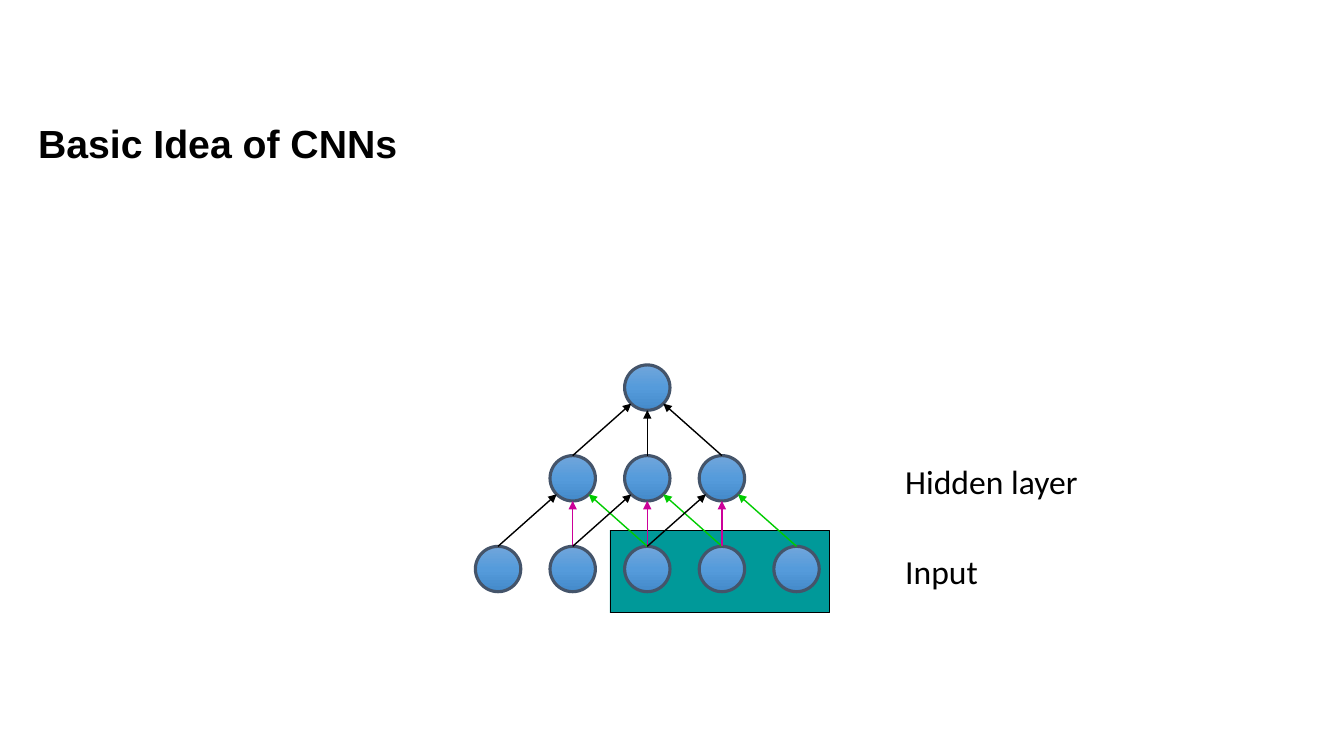
from copy import deepcopy
from math import cos, pi, sin

from lxml.etree import SubElement
from pptx import Presentation
from pptx.dml.color import RGBColor
from pptx.enum.shapes import MSO_CONNECTOR as CONN, MSO_SHAPE as SHAPE
from pptx.enum.text import MSO_ANCHOR as ANCHOR
from pptx.oxml.ns import qn
from pptx.util import Inches, Pt

BLACK = RGBColor(0x00, 0x00, 0x00)
TEAL = RGBColor(0x00, 0x99, 0x99)
MAGENTA = RGBColor(0xCC, 0x00, 0x99)
GREEN = RGBColor(0x00, 0xCC, 0x00)
SLATE = RGBColor(0x44, 0x54, 0x6A)
BLUES = [RGBColor(0x71, 0xA6, 0xDB), RGBColor(0x55, 0x9B, 0xDB),
         RGBColor(0x44, 0x8A, 0xCA)]

# Grid of the network: columns count from the middle, rows from the input up
MID_X, COL = 6.42, 0.74
INPUT_TOP, ROW = 5.42, 0.9
SIZE = 0.45

prs = Presentation()
prs.slide_width, prs.slide_height = Inches(13.33), Inches(7.5)
s = prs.slides.add_slide(prs.slide_layouts[6])


def add_neuron(shapes, col, row):
    x, y = MID_X + col * COL - SIZE / 2, INPUT_TOP - row * ROW
    sp = shapes.add_shape(SHAPE.OVAL, Inches(x), Inches(y), Inches(SIZE), Inches(SIZE))
    sp.shadow.inherit = False
    sp.line.color.rgb, sp.line.width = SLATE, Pt(2.25)
    sp.fill.gradient()
    sp.fill.gradient_angle = 270
    first = sp._element.spPr.find(".//" + qn("a:gs"))
    first.addnext(deepcopy(first))
    for i, (stop, blue) in enumerate(zip(sp.fill.gradient_stops, BLUES)):
        stop.color.rgb, stop.position = blue, i / 2


def add_inputs(shapes, col, row, colors):
    """Draw a neuron and the arrows from the three neurons below it."""
    add_neuron(shapes, col, row)
    cx, top = MID_X + col * COL, INPUT_TOP - row * ROW
    for side, color in zip((-1, 0, 1), colors):
        turn = side * pi / 4
        end_x = cx + SIZE / 2 * sin(turn)
        end_y = top + SIZE / 2 * (1 + cos(turn))
        c = shapes.add_connector(CONN.STRAIGHT, Inches(cx + side * COL), Inches(top + ROW),
                                 Inches(end_x), Inches(end_y))
        c.line.color.rgb, c.line.width = color, Pt(1)
        spPr = c._element.spPr
        SubElement(spPr.find(qn("a:ln")), qn("a:tailEnd"), type="triangle")
        SubElement(spPr, qn("a:effectLst"))


# Window over the last three inputs
window = s.shapes.add_shape(SHAPE.RECTANGLE, Inches(6.05), Inches(5.26),
                            Inches(2.18), Inches(0.82))
window.shadow.inherit = False
window.fill.solid()
window.fill.fore_color.rgb = TEAL
window.line.color.rgb, window.line.width = BLACK, Pt(0.5)

# Input layer
for col in range(-2, 3):
    add_neuron(s.shapes, col, 0)

# Hidden layer, each neuron grouped with its shared weights
for col in range(-1, 2):
    add_inputs(s.shapes.add_group_shape().shapes, col, 1, (BLACK, MAGENTA, GREEN))

# Output neuron
add_inputs(s.shapes, 0, 2, (BLACK,) * 3)

# Title and layer labels
label = {"name": "Calibri", "size": Pt(24)}
heading = {"name": "Arial", "size": Pt(28), "bold": True}
for text, x, y, w, h, anchor, spacing, font in [
    ("Basic Idea of CNNs", 0.28, 0.95, 12.74, 0.99, ANCHOR.MIDDLE, 0.9, heading),
    ("Hidden layer", 8.88, INPUT_TOP - ROW, 2.14, 0.5, ANCHOR.TOP, 1.0, label),
    ("Input", 8.88, INPUT_TOP, 2.14, 0.5, ANCHOR.TOP, 1.0, label),
]:
    tf = s.shapes.add_textbox(Inches(x), Inches(y), Inches(w), Inches(h)).text_frame
    tf.word_wrap, tf.vertical_anchor = True, anchor
    p = tf.paragraphs[0]
    p.line_spacing = spacing
    r = p.add_run()
    r.text = text
    r.font.color.rgb = BLACK
    for key, value in font.items():
        setattr(r.font, key, value)

prs.save("out.pptx")
